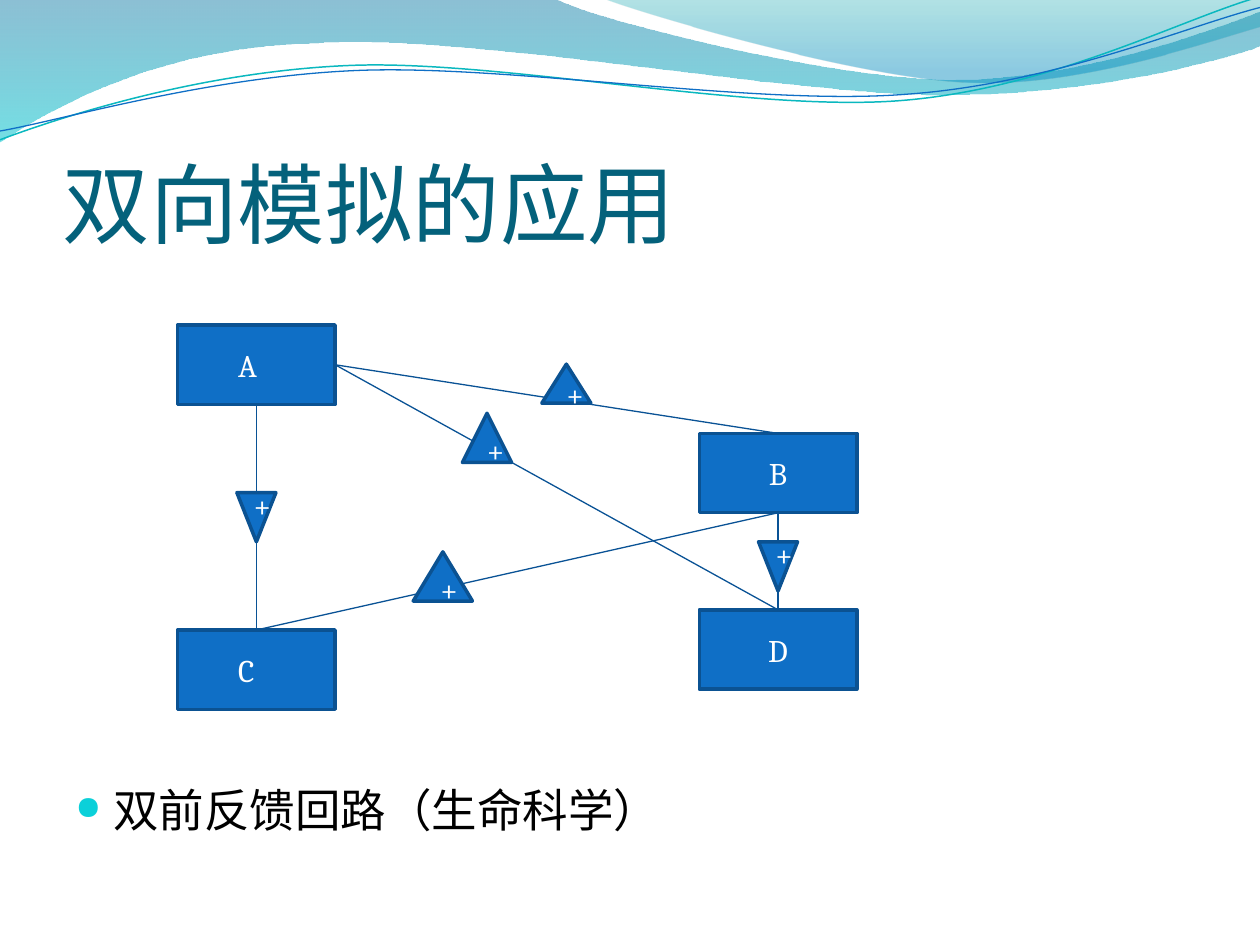
import math

import pptx
import pptx.dml.color
import pptx.enum.shapes
import pptx.enum.text
import pptx.oxml.ns
import pptx.util
from lxml import etree

Inches, Pt = pptx.util.Inches, pptx.util.Pt
RGBColor = pptx.dml.color.RGBColor
SHAPE = pptx.enum.shapes.MSO_SHAPE
ANCHOR = pptx.enum.text.MSO_ANCHOR
ALIGN = pptx.enum.text.PP_ALIGN
qn = pptx.oxml.ns.qn

BLUE = RGBColor(0x0F, 0x6F, 0xC6)
EDGE = RGBColor(0x0B, 0x52, 0x92)
LINK = RGBColor(0x09, 0x52, 0x95)
TEAL = RGBColor(0x0A, 0xB8, 0xBF)
TITLE = RGBColor(0x04, 0x61, 0x7B)
BULLET = RGBColor(0x0B, 0xD0, 0xD9)
BLACK = RGBColor(0, 0, 0)
WHITE = RGBColor(0xFF, 0xFF, 0xFF)

# Outlines: a pair is a straight step, six numbers are a Bezier curve.
# Gradient stops: position, colour, opacity in percent.
BANDS = [
    ([(0, 0), (4.4, -0.01), (4.76, 0.17, 6.64, 0.63, 7.58, 0.63),
      (8.53, 0.63, 9.58, 0.26, 10, 0.09), (10.01, 0.36),
      (9.83, 0.44, 8.7, 0.76, 7.46, 0.75), (6.22, 0.75, 3.82, 0.28, 2.57, 0.34),
      (1.29, 0.36, 0.46, 0.83, -0.01, 1.13), (0, 0)],
     [(0, RGBColor(0x00, 0x74, 0xA1), 45), (1, RGBColor(0x00, 0xC6, 0xCF), 55)]),
    ([(4.79, -0.01), (5.09, 0.11, 6.82, 0.62, 7.69, 0.65),
      (8.56, 0.69, 9.61, 0.32, 10, 0.21), (10, 0), (4.79, -0.01)],
     [(0, RGBColor(0x00, 0xA1, 0xA9), 30), (0.8, RGBColor(0x00, 0x8B, 0xBF), 45)]),
]
WAVES = [
    ([(0, 1.11), (0.48, 0.93, 1.58, 0.57, 2.77, 0.52),
      (3.95, 0.47, 5.93, 0.89, 7.13, 0.8), (8.33, 0.71, 9.38, 0.15, 9.98, -0.02)],
     TEAL, 0.85),
    ([(0, 1.04), (0.47, 0.96, 1.64, 0.61, 2.83, 0.56),
      (4.03, 0.51, 5.97, 0.84, 7.17, 0.75), (8.36, 0.67, 9.41, 0.21, 10, 0.06)],
     BLUE, 0.75),
]
WAVE_TILT = -2.7

LEFT_X, RIGHT_X = 1.41, 5.55
BOX_W, BOX_H = 1.25, 0.63
BOXES = {"A": (LEFT_X, 2.58), "D": (RIGHT_X, 4.84), "C": (LEFT_X, 5), "B": (RIGHT_X, 3.44)}
BOTTOM, RIGHT, TOP = 2, 3, 0
LINKS = [("A", BOTTOM, "C"), ("A", RIGHT, "B"), ("A", RIGHT, "D"),
         ("B", BOTTOM, "D"), ("B", BOTTOM, "C")]
DOWN, UP = SHAPE.FLOWCHART_MERGE, SHAPE.ISOSCELES_TRIANGLE
SIGNS = [(DOWN, 1.88, 3.91, 0.31, 0.39), (DOWN, 6.02, 4.3, 0.31, 0.39),
         (UP, 3.28, 4.38, 0.47, 0.39), (UP, 3.67, 3.28, 0.39, 0.39),
         (UP, 4.3, 2.89, 0.39, 0.31)]


def turn(x, y, degrees):
    """Turn a point clockwise about the slide's top left corner."""
    c, d = math.cos(math.radians(degrees)), math.sin(math.radians(degrees))
    return x * c - y * d, x * d + y * c


def add_outline(steps, close, tilt=0):
    """Add a curved outline, stored level and shown turned by tilt."""
    points = [turn(*step[i:i + 2], -tilt) for step in steps for i in range(0, len(step), 2)]
    points = [(Inches(x), Inches(y)) for x, y in points]
    builder = shapes.build_freeform(*points[0])
    builder.add_line_segments(points[1:], close=close)
    sp = builder.convert_to_shape()
    sp.shadow.inherit = False

    segments = iter(list(sp._element.iter(qn("a:lnTo"))))
    for step in steps[1:]:
        first = next(segments)
        if len(step) == 6:
            curve = etree.Element(qn("a:cubicBezTo"))
            first.addprevious(curve)
            for segment in (first, next(segments), next(segments)):
                curve.append(segment[0])
                segment.getparent().remove(segment)

    if tilt:
        x, y = turn(sp.left + sp.width / 2, sp.top + sp.height / 2, tilt)
        sp.left, sp.top = int(x - sp.width / 2), int(y - sp.height / 2)
        sp.rotation = tilt
    return sp


def add_run(p, text, size, font, color):
    r = p.add_run()
    r.text = text
    r.font.size, r.font.name = Pt(size), font
    r.font.color.rgb = color


def add_node(kind, x, y, w, h, text):
    sp = shapes.add_shape(kind, Inches(x), Inches(y), Inches(w), Inches(h))
    sp.shadow.inherit = False
    sp.fill.solid()
    sp.fill.fore_color.rgb = BLUE
    sp.line.color.rgb, sp.line.width = EDGE, Pt(2)
    sp.text_frame.vertical_anchor = ANCHOR.MIDDLE
    p = sp.text_frame.paragraphs[0]
    p.alignment = ALIGN.CENTER
    add_run(p, text, 18, "Cambria", WHITE)
    return sp


def add_text(x, y, w, h, anchor):
    tf = shapes.add_textbox(Inches(x), Inches(y), Inches(w), Inches(h)).text_frame
    tf.word_wrap = True
    tf.vertical_anchor = anchor
    return tf


prs = pptx.Presentation()
prs.slide_width, prs.slide_height = Inches(10), Inches(7.5)
s = prs.slides.add_slide(prs.slide_layouts[6])
shapes = s.shapes

for steps, stops in BANDS:
    sp = add_outline(steps, True)
    sp.line.fill.background()
    sp.fill.gradient()
    sp.fill.gradient_angle = 270
    for stop, (position, color, _) in zip(sp.fill.gradient_stops, stops):
        stop.position, stop.color.rgb = position, color
    for clr, (_, _, opacity) in zip(sp._element.spPr.iter(qn("a:srgbClr")), stops):
        etree.SubElement(clr, qn("a:alpha")).set("val", str(opacity * 1000))

for steps, color, width in WAVES:
    sp = add_outline(steps, False, WAVE_TILT)
    sp.fill.background()
    sp.line.color.rgb, sp.line.width = color, Pt(width)

tf = add_text(0.5, 0.77, 9, 1.25, ANCHOR.BOTTOM)
tf.margin_left = tf.margin_right = tf.margin_bottom = 0
add_run(tf.paragraphs[0], "双向模拟的应用", 50, "Calibri", TITLE)

tf = add_text(0.5, 2.12, 9, 4.8, ANCHOR.MIDDLE)
tf.margin_top = Inches(3.86)
p = tf.paragraphs[0]
add_run(p, "双前反馈回路（生命科学）", 26, "Cambria", BLACK)
pPr = p._p.get_or_add_pPr()
pPr.set("marL", str(Inches(0.3)))
pPr.set("indent", str(-Inches(0.3)))
color = etree.SubElement(pPr, qn("a:buClr"))
etree.SubElement(color, qn("a:srgbClr")).set("val", str(BULLET))
etree.SubElement(pPr, qn("a:buSzPct")).set("val", "72000")
etree.SubElement(pPr, qn("a:buChar")).set("char", "●")

nodes = {}
for name, (x, y) in BOXES.items():
    nodes[name] = add_node(SHAPE.RECTANGLE, x, y, BOX_W, BOX_H, name)
    if x == LEFT_X:
        tf = nodes[name].text_frame
        tf.paragraphs[0].alignment = ALIGN.LEFT
        tf.margin_left = Inches(0.48)

for start, side, end in LINKS:
    line = shapes.add_connector(pptx.enum.shapes.MSO_CONNECTOR.STRAIGHT, 0, 0, 0, 0)
    line.begin_connect(nodes[start], side)
    line.end_connect(nodes[end], TOP)
    line.line.color.rgb, line.line.width = LINK, Pt(0.75)
    etree.SubElement(line._element.spPr, qn("a:effectLst"))

for kind, x, y, w, h in SIGNS:
    add_node(kind, x, y, w, h, "+")

prs.save("out.pptx")
